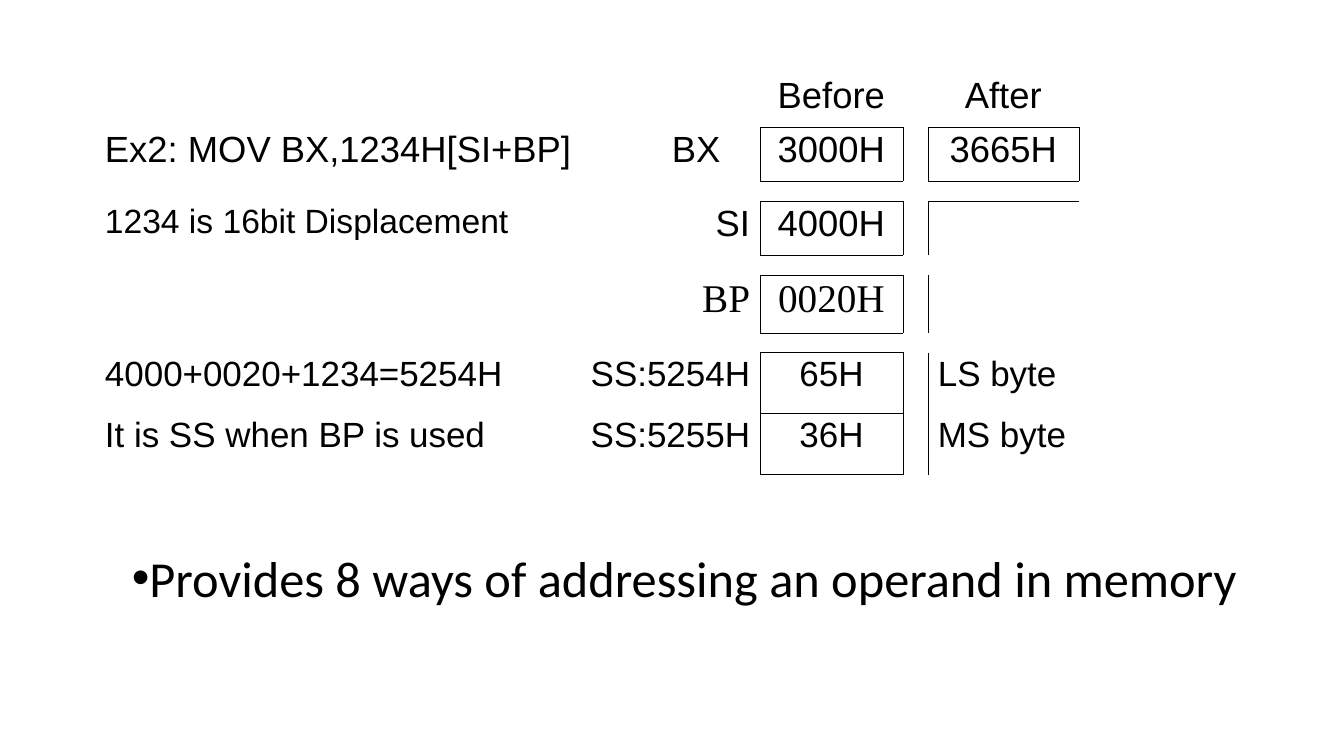
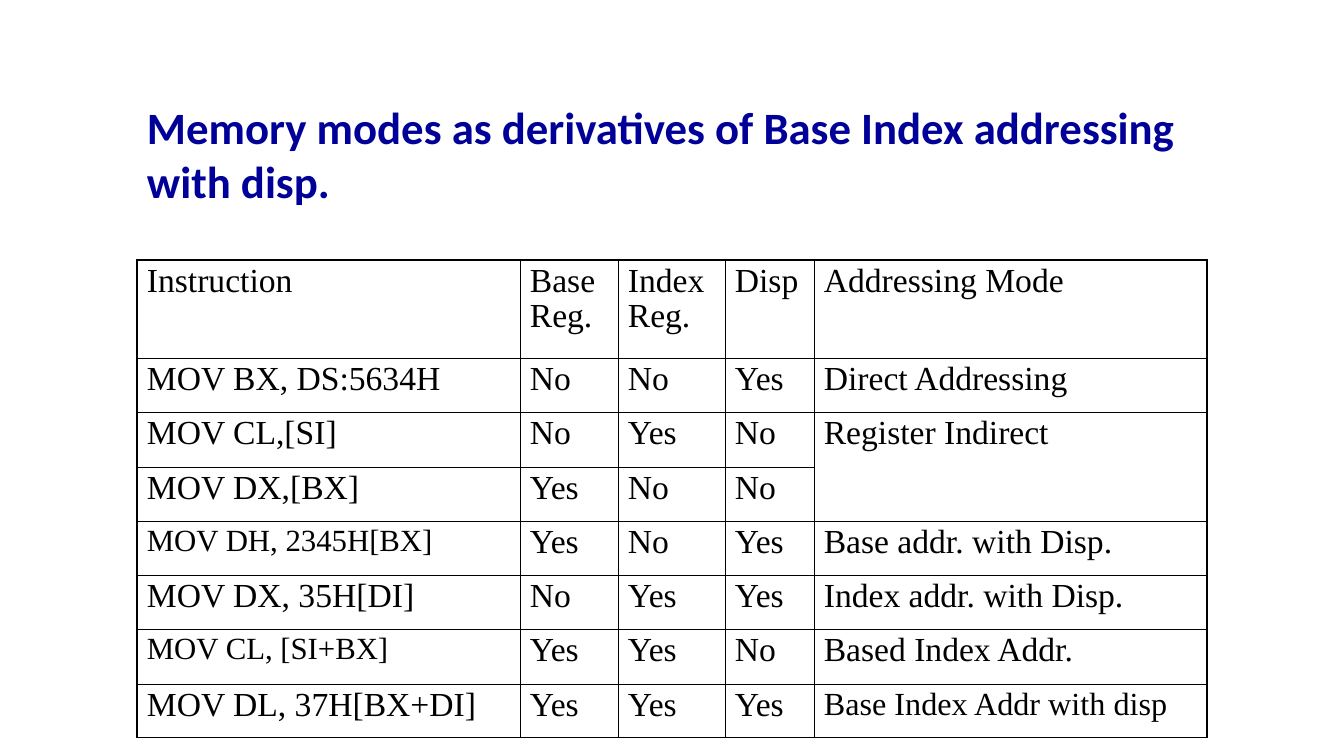
from lxml import etree
from pptx import Presentation
from pptx import util as u
from pptx.dml.color import RGBColor
from pptx.enum import text
from pptx.oxml import ns

SCALE = 914400 / 100.8
COLORS = {"ink": "000000", "title": "000099"}
SANS, SERIF, BODY = "Arial", "Times New Roman", "Calibri"
NO_STYLE = "{2D5ABB26-0587-4C30-8999-92F81FD0307C}"
THIN, THICK = 0.45, 1.08
SIDES = {"L": (0, -1), "R": (0, 1), "T": (-1, 0), "B": (1, 0)}
LEFT, CENTER, RIGHT = text.PP_ALIGN.LEFT, text.PP_ALIGN.CENTER, text.PP_ALIGN.RIGHT


def px(n):
    return u.Emu(round(n * SCALE))


def add(parent, tag, **attrs):
    return etree.SubElement(parent, ns.qn("a:" + tag), {k: str(v) for k, v in attrs.items()})


class Deck:
    def __init__(self):
        self.prs = Presentation()
        self.prs.slide_width, self.prs.slide_height = px(1344), px(756)

    def slide(self):
        self.s = self.prs.slides.add_slide(self.prs.slide_layouts[6])

    def style(self, p, size, font, color="ink", bold=False):
        for r in p.runs:
            r.font.size, r.font.name, r.font.bold = u.Pt(size), font, bold
            r.font.color.rgb = RGBColor.from_string(COLORS[color])

    def text(self, x, y, w, h, words, size, color="ink", bold=False, bullet=None):
        tf = self.s.shapes.add_textbox(px(x), px(y), px(w), px(h)).text_frame
        tf.word_wrap = True
        tf.auto_size = text.MSO_AUTO_SIZE.SHAPE_TO_FIT_TEXT
        p = tf.paragraphs[0]
        p.text = words
        if bullet:
            pPr = p._p.get_or_add_pPr()
            add(pPr, "buFont", typeface=SANS)
            add(pPr, "buChar", char=bullet)
        self.style(p, size, BODY, color, bold)

    def table(self, x, y, cols, rows):
        shape = self.s.shapes.add_table(len(rows), len(cols), px(x), px(y), px(sum(cols)), px(sum(rows)))
        table = shape.table
        table.first_row = table.horz_banding = False
        table._tbl.tblPr.find(ns.qn("a:tableStyleId")).text = NO_STYLE
        for col, w in zip(table.columns, cols):
            col.width = px(w)
        for row, h in zip(table.rows, rows):
            row.height = px(h)
        return table

    def cell(self, cell, words, size, font, align=LEFT, tab=None):
        cell.margin_left = cell.margin_right = px(10)
        cell.margin_top = cell.margin_bottom = px(5)
        p = cell.text_frame.paragraphs[0]
        p.text = words
        p.alignment, p.line_spacing = align, 0.93
        if tab:
            add(add(p._p.get_or_add_pPr(), "tabLst"), "tab", pos=px(tab), algn="l")
        if not words:
            cell.margin_top = cell.margin_bottom = 0
            add(p._p, "endParaRPr", sz=800)
        self.style(p, size, font)

    def borders(self, cell, widths):
        tcPr = cell._tc.get_or_add_tcPr()
        for side, width in widths.items():
            ln = add(tcPr, "ln" + side, w=u.Pt(width))
            add(add(ln, "solidFill"), "srgbClr", val=COLORS["ink"])
        add(tcPr, "noFill")


def example_slide(deck):
    deck.slide()
    rows = [
        (54, 26, SANS, ["", "", "Before", "", "After"]),
        (54, 26, SANS, ["Ex2: MOV BX,1234H[SI+BP]\tBX", "", "3000H", "", "3665H"]),
        (20, 8, SANS, [""] * 5),
        (54, 26, SANS, ["1234 is 16bit Displacement", "SI", "4000H", "", ""]),
        (20, 8, SANS, [""] * 5),
        (58, 28, SERIF, ["", "BP", "0020H", "", ""]),
        (20, 8, SANS, [""] * 5),
        (61, 25, SANS, ["4000+0020+1234=5254H", "SS:5254H", "65H", "", "LS byte"]),
        (61, 25, SANS, ["It is SS when BP is used", "SS:5255H", "36H", "", "MS byte"]),
    ]
    boxes = {(1, 2), (1, 4), (3, 2), (5, 2), (7, 2), (8, 2)}
    aligns = [LEFT, RIGHT, CENTER, LEFT, LEFT]
    table = deck.table(95, 73, [454, 211, 143, 25, 151], [row[0] for row in rows])
    table.cell(1, 0).merge(table.cell(1, 1))
    for i, (_, size, font, words) in enumerate(rows):
        for j, word in enumerate(words):
            cell = table.cell(i, j)
            if cell.is_spanned:
                continue
            align = CENTER if j == 4 and i < 2 else aligns[j]
            deck.cell(cell, word, 24 if (i, j) == (3, 0) else size, font, align,
                      567 if "\t" in word else None)
            deck.borders(cell, {side: THIN for side, (di, dj) in SIDES.items()
                                if boxes & {(i, j), (i + di, j + dj)}})
    deck.text(122, 542, 1202, 72, "Provides 8 ways of addressing an operand in memory", 36, bullet="•")


def modes_slide(deck):
    deck.slide()
    rows = [
        ["Instruction", "Base Reg.", "Index Reg.", "Disp", "Addressing Mode"],
        ["MOV BX, DS:5634H", "No", "No", "Yes", "Direct Addressing"],
        ["MOV CL,[SI]", "No", "Yes", "No", "Register Indirect"],
        ["MOV DX,[BX]", "Yes", "No", "No", ""],
        ["MOV DH, 2345H[BX]", "Yes", "No", "Yes", "Base addr. with Disp."],
        ["MOV DX, 35H[DI]", "No", "Yes", "Yes", "Index addr. with Disp."],
        ["MOV CL, [SI+BX]", "Yes", "Yes", "No", "Based Index Addr."],
        ["MOV DL, 37H[BX+DI]", "Yes", "Yes", "Yes", "Base Index Addr with disp"],
    ]
    sizes = {(4, 0): 22, (6, 0): 22, (7, 4): 23}
    table = deck.table(137, 260, [383, 98, 107, 89, 393], [98, 54, 55, 54, 54, 54, 55, 54])
    table.cell(2, 4).merge(table.cell(3, 4))
    for i, words in enumerate(rows):
        for j, word in enumerate(words):
            cell = table.cell(i, j)
            if cell.is_spanned:
                continue
            deck.cell(cell, word, sizes.get((i, j), 24), SERIF)
            deck.borders(cell, {
                side: THIN if 0 <= i + di < len(rows) and 0 <= j + dj < len(words) else THICK
                for side, (di, dj) in SIDES.items()})
    deck.text(137, 95, 1116, 119, "Memory modes as derivatives of Base Index addressing with disp.",
              32, "title", True)


def main():
    deck = Deck()
    example_slide(deck)
    modes_slide(deck)
    deck.prs.save("out.pptx")


if __name__ == "__main__":
    main()
